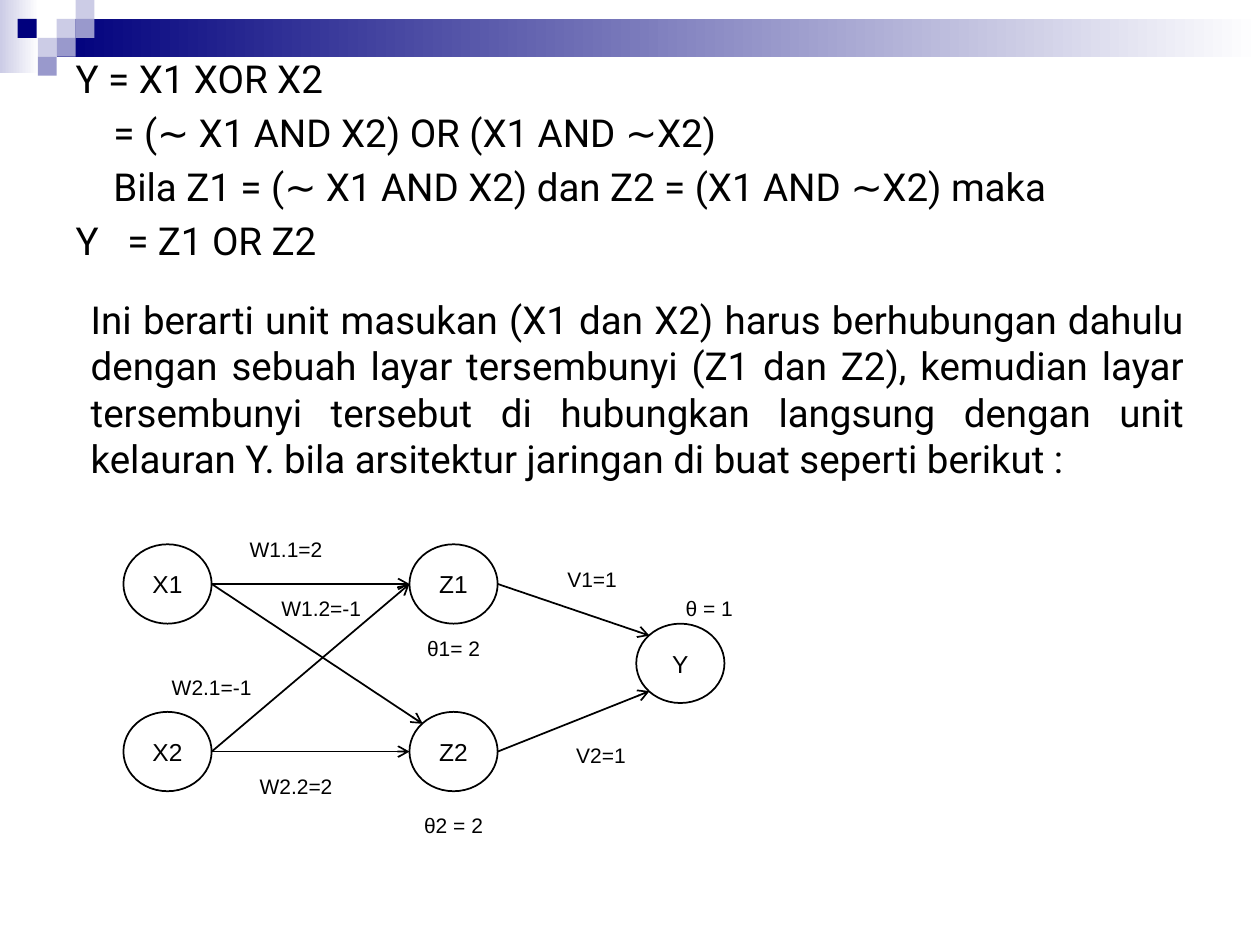
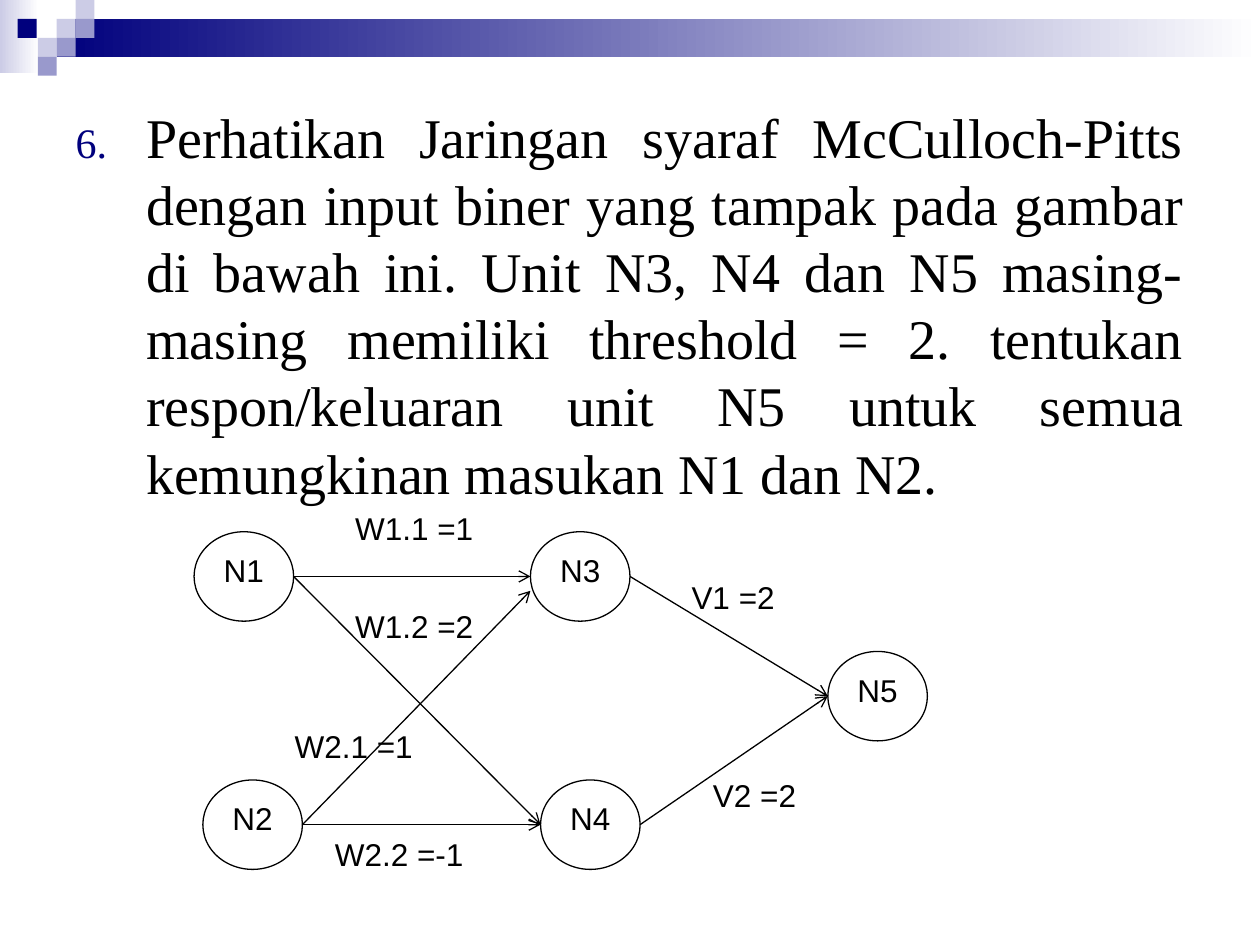
from dataclasses import dataclass, field
from typing import Any, NamedTuple

from lxml import etree
from pptx import Presentation, util as u
from pptx.dml.color import RGBColor
from pptx.enum import shapes, text
from pptx.oxml.ns import qn

WIDTH, HEIGHT = u.Inches(10), u.Inches(7.5)
COLUMNS, ROWS = 100, 75


@dataclass(frozen=True)
class Theme:
    navy: str = "00007D"
    lilac: str = "9999CC"
    pale: str = "CCCCE6"
    white: str = "FFFFFF"
    ink: str = "000000"
    prose: str = "Roboto"
    question: str = "Times New Roman"
    diagram: str = "Arial"
    prose_size: float = 22
    question_size: float = 32


THEME = Theme()


class Tile(NamedTuple):
    col: float
    row: float
    cols: float
    rows: float
    color: str
    fades: bool = False


class Port(NamedTuple):
    """Point on a node, as shares of its width and height."""
    across: float
    down: float


RIGHT = Port(1, 0.5)
LEFT = Port(0, 0.5)
BELOW_LEFT = Port(0, 0.66)
UPPER_LEFT = Port(0.15, 0.15)
LOWER_LEFT = Port(0.15, 0.85)


class Node(NamedTuple):
    name: str
    col: float
    row: float


class Link(NamedTuple):
    start: str
    end: str
    port: Port = LEFT


class Label(NamedTuple):
    wording: str
    col: float
    row: float
    cols: float


@dataclass(frozen=True)
class Network:
    outline: Any
    node_cols: float
    node_rows: float
    label_rows: float
    line_width: float
    node_size: float
    label_size: float
    node_anchor: Any
    label_anchor: Any
    label_align: Any
    nodes: list[Node]
    links: list[Link]
    labels: list[Label]
    fill: str | None = None


@dataclass(frozen=True)
class Paragraph:
    """Body paragraph; gap is extra width, in points, for its first space."""
    wording: str
    margin: float = 0
    indent: float = 0
    gap: float = 0
    number: int = 0
    format: dict[str, Any] = field(default_factory=dict)


CELL = 1.5
MOTIF = [
    Tile(0, 0, 3.1, 5.8, THEME.pale, True),
    Tile(3 * CELL, CELL, COLUMNS - 3 * CELL, 2 * CELL, THEME.navy, True),
    Tile(1.4, CELL, CELL, CELL, THEME.navy),
    *(Tile(c * CELL, r * CELL, CELL, CELL, color) for c, r, color in [
        (3, 1, THEME.pale), (4, 0, THEME.pale), (4, 1, THEME.lilac),
        (2, 2, THEME.pale), (3, 2, THEME.lilac), (2, 3, THEME.lilac)]),
]

XOR_TEXT = [
    Paragraph("Y = X1 XOR X2", format={"space_before": u.Pt(2)}),
    Paragraph("= (∼ X1 AND X2) OR (X1 AND ∼X2)", margin=0.3),
    Paragraph("Bila Z1 = (∼ X1 AND X2) dan Z2 = (X1 AND ∼X2) maka", margin=0.3),
    Paragraph("Y = Z1 OR Z2", gap=10.9),
    Paragraph(
        "Ini berarti unit masukan (X1 dan X2) harus berhubungan dahulu dengan "
        "sebuah layar tersembunyi (Z1 dan Z2), kemudian layar tersembunyi "
        "tersebut di hubungkan langsung dengan unit kelauran Y. bila arsitektur "
        "jaringan di buat seperti berikut :",
        margin=0.12,
        format={"alignment": text.PP_ALIGN.JUSTIFY, "space_before": u.Pt(18.8)}),
]

QUESTION_TEXT = [
    Paragraph(
        "Perhatikan Jaringan syaraf McCulloch-Pitts dengan input biner yang "
        "tampak pada gambar di bawah ini. Unit N3, N4 dan N5 masing-masing "
        "memiliki threshold = 2. tentukan respon/keluaran unit N5 untuk semua "
        "kemungkinan masukan N1 dan N2.",
        margin=0.56, indent=-0.56, number=6,
        format={"alignment": text.PP_ALIGN.JUSTIFY, "space_before": u.Pt(0)}),
]

XOR_NETWORK = Network(
    outline=shapes.MSO_SHAPE.FLOWCHART_CONNECTOR, fill=THEME.white,
    node_cols=7, node_rows=6.3, label_rows=3.9, line_width=1,
    node_size=14, label_size=12,
    node_anchor=text.MSO_ANCHOR.MIDDLE, label_anchor=text.MSO_ANCHOR.MIDDLE,
    label_align=text.PP_ALIGN.CENTER,
    nodes=[Node("X1", 9.8, 43.2), Node("X2", 9.8, 56.5), Node("Z1", 32.5, 43.2),
           Node("Z2", 32.5, 56.5), Node("Y", 50.5, 49.5)],
    links=[Link("X1", "Z1"), Link("X1", "Z2", UPPER_LEFT), Link("X2", "Z1"),
           Link("X2", "Z2"), Link("Z1", "Y", UPPER_LEFT),
           Link("Z2", "Y", LOWER_LEFT)],
    labels=[Label("W1.1=2", 18.4, 41.6, 8.6), Label("W1.2=-1", 20.1, 46.3, 10.8),
            Label("W2.1=-1", 11.4, 52.6, 10.8), Label("W2.2=2", 19.2, 60.4, 8.6),
            Label("θ1= 2", 31.7, 49.5, 8.6), Label("θ2 = 2", 31.7, 63.5, 8.6),
            Label("V1=1", 42.7, 44, 8.6), Label("V2=1", 43.4, 58, 8.6),
            Label("θ = 1", 52, 46.3, 8.6)],
)

QUESTION_NETWORK = Network(
    outline=shapes.MSO_SHAPE.OVAL,
    node_cols=7.9, node_rows=7.1, label_rows=4.7, line_width=0.75,
    node_size=18, label_size=18,
    node_anchor=text.MSO_ANCHOR.TOP, label_anchor=text.MSO_ANCHOR.TOP,
    label_align=text.PP_ALIGN.LEFT,
    nodes=[Node("N1", 15.4, 42.2), Node("N2", 16.1, 61.9), Node("N3", 42.1, 42.2),
           Node("N4", 42.9, 61.9), Node("N5", 65.7, 51.7)],
    links=[Link("N1", "N3"), Link("N1", "N4"), Link("N2", "N3", BELOW_LEFT),
           Link("N2", "N4"), Link("N3", "N5"), Link("N4", "N5")],
    labels=[Label(wording, col, row, 13.4) for wording, col, row in [
        ("W1.1 =1", 27.2, 39.9), ("W1.2 =2", 27.2, 47.7), ("W2.1 =1", 22.4, 57.2),
        ("W2.2 =-1", 25.6, 65.8), ("V1 =2", 53.9, 45.4), ("V2 =2", 55.6, 61.1)]],
)


def x(cols: float) -> int:
    return round(WIDTH * cols / COLUMNS)


def y(rows: float) -> int:
    return round(HEIGHT * rows / ROWS)


def box(col: float, row: float, cols: float, rows: float) -> tuple[int, ...]:
    return x(col), y(row), x(cols), y(rows)


def rgb(color: str) -> RGBColor:
    return RGBColor.from_string(color)


def apply(target: Any, values: dict[str, Any]) -> None:
    for attribute, value in values.items():
        setattr(target, attribute, value)


def style_font(font: Any, name: str, size: float) -> None:
    apply(font, {"name": name, "size": u.Pt(size)})
    font.color.rgb = rgb(THEME.ink)


def write(shape: Any, wording: str, size: float, anchor: Any, align: Any) -> None:
    frame = shape.text_frame
    apply(frame, {"word_wrap": True, "vertical_anchor": anchor, "text": wording})
    frame.paragraphs[0].alignment = align
    style_font(frame.paragraphs[0].runs[0].font, THEME.diagram, size)


def add_motif(prs: Any, slide: Any) -> None:
    """Draw the header tiles once and move them to the master, behind all else."""
    group = slide.shapes.add_group_shape()
    for tile in MOTIF:
        shape = group.shapes.add_shape(shapes.MSO_SHAPE.RECTANGLE, *box(*tile[:4]))
        shape.shadow.inherit = False
        shape.line.fill.background()
        if tile.fades:
            shape.fill.gradient()
            shape.fill.gradient_angle = 0
            for stop, color in zip(shape.fill.gradient_stops,
                                   (tile.color, THEME.white)):
                stop.color.rgb = rgb(color)
        else:
            shape.fill.solid()
            shape.fill.fore_color.rgb = rgb(tile.color)
    for number, properties in enumerate(group.element.iter(qn("p:cNvPr")), 101):
        properties.set("id", str(number))
    prs.slide_master.element.cSld.spTree.insert(2, group.element)


def add_child(parent: Any, tag: str, **attributes: str) -> Any:
    return etree.SubElement(parent, qn(tag), attributes)


def fill_body(slide: Any, area: tuple[int, ...], paragraphs: list[Paragraph],
              font: str, size: float) -> None:
    title, body = slide.shapes.title, slide.placeholders[1]
    title.element.getparent().remove(title.element)
    apply(body, dict(zip(("left", "top", "width", "height"), area)))
    frame = body.text_frame
    apply(frame, {"auto_size": text.MSO_AUTO_SIZE.NONE, "word_wrap": True,
                  "vertical_anchor": text.MSO_ANCHOR.TOP})
    for index, item in enumerate(paragraphs):
        paragraph = frame.add_paragraph() if index else frame.paragraphs[0]
        apply(paragraph, {"line_spacing": 1.0, "space_before": u.Pt(4.4),
                          "alignment": text.PP_ALIGN.LEFT, **item.format})
        pieces = item.wording.partition(" ") if item.gap else [item.wording]
        for piece in pieces:
            run = paragraph.add_run()
            run.text = piece
            style_font(run.font, font, size)
            if piece == " ":
                run._r.get_or_add_rPr().set("spc", str(round(item.gap * 100)))
        layout = paragraph._p.get_or_add_pPr()
        layout.set("marL", str(u.Inches(item.margin)))
        layout.set("indent", str(u.Inches(item.indent)))
        if item.number:
            add_child(add_child(layout, "a:buClr"), "a:srgbClr", val=THEME.navy)
            add_child(layout, "a:buSzPct", val="75000")
            add_child(layout, "a:buFont", typeface=font)
            add_child(layout, "a:buAutoNum", type="arabicPeriod",
                      startAt=str(item.number))
        else:
            add_child(layout, "a:buNone")


def add_arrow(group: Any, start: tuple[int, int], end: tuple[int, int],
              width: float) -> None:
    arrow = group.shapes.add_connector(shapes.MSO_CONNECTOR.STRAIGHT, *start, *end)
    arrow.line.width = u.Pt(width)
    arrow.line.color.rgb = rgb(THEME.ink)
    add_child(arrow.line._get_or_add_ln(), "a:tailEnd", type="arrow")
    add_child(arrow.element.spPr, "a:effectLst")


def add_network(slide: Any, net: Network) -> None:
    group = slide.shapes.add_group_shape()
    places = {node.name: node for node in net.nodes}

    def point(name: str, port: Port) -> tuple[int, int]:
        node = places[name]
        return (x(node.col + port.across * net.node_cols),
                y(node.row + port.down * net.node_rows))

    for node in net.nodes:
        circle = group.shapes.add_shape(
            net.outline, *box(node.col, node.row, net.node_cols, net.node_rows))
        circle.shadow.inherit = False
        if net.fill:
            circle.fill.solid()
            circle.fill.fore_color.rgb = rgb(net.fill)
        else:
            circle.fill.background()
        circle.line.width = u.Pt(net.line_width)
        circle.line.color.rgb = rgb(THEME.ink)
        write(circle, node.name, net.node_size, net.node_anchor,
              text.PP_ALIGN.CENTER)
    for link in net.links:
        add_arrow(group, point(link.start, RIGHT), point(link.end, link.port),
                  net.line_width)
    for label in net.labels:
        weight = group.shapes.add_textbox(
            *box(label.col, label.row, label.cols, net.label_rows))
        write(weight, label.wording, net.label_size, net.label_anchor,
              net.label_align)


def main() -> None:
    prs = Presentation()
    apply(prs, {"slide_width": WIDTH, "slide_height": HEIGHT})
    content_layout = prs.slide_layouts[1]

    xor = prs.slides.add_slide(content_layout)
    add_motif(prs, xor)
    fill_body(xor, box(5, 3.9, 90, 61.8), XOR_TEXT, THEME.prose, THEME.prose_size)
    add_network(xor, XOR_NETWORK)

    question = prs.slides.add_slide(content_layout)
    fill_body(question, box(5, 7.6, 90, 35.4), QUESTION_TEXT,
              THEME.question, THEME.question_size)
    add_network(question, QUESTION_NETWORK)

    prs.save("out.pptx")


if __name__ == "__main__":
    main()
